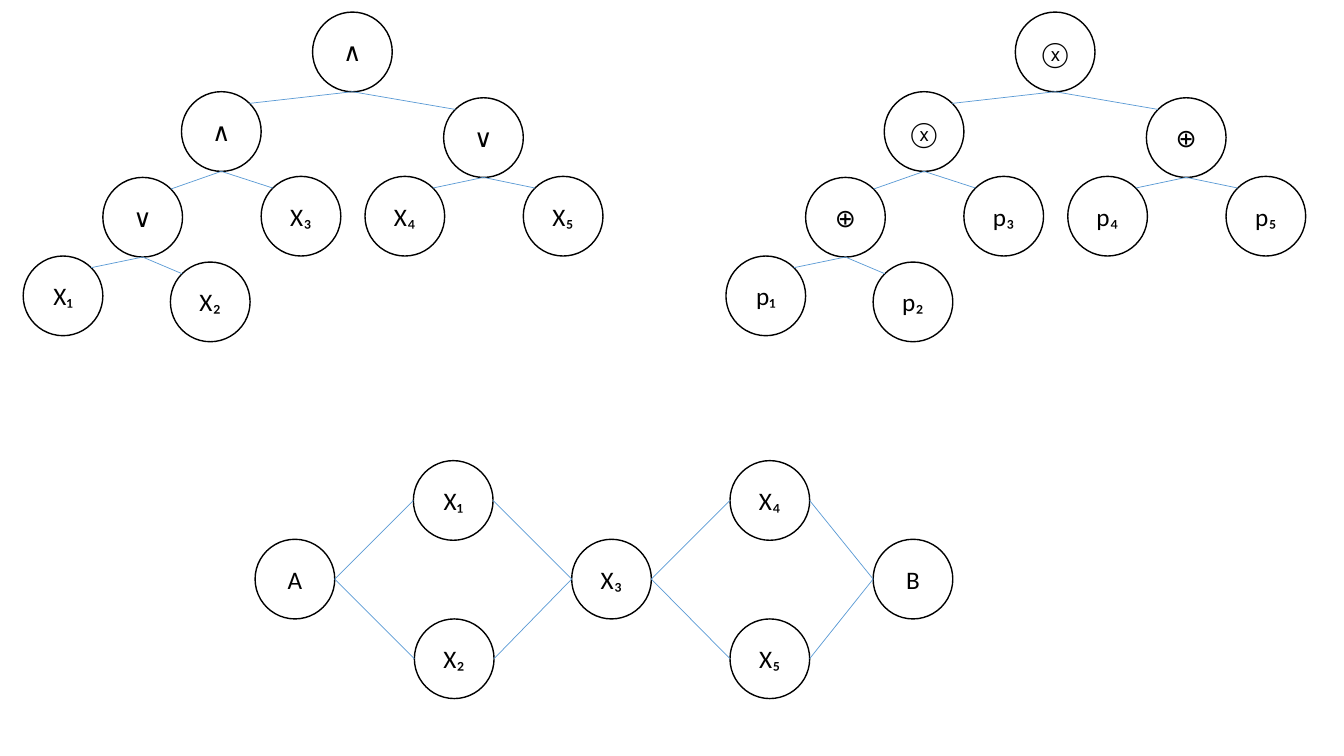
from dataclasses import dataclass
from math import sqrt

from lxml.etree import SubElement
from pptx import Presentation
from pptx.dml.color import RGBColor
from pptx.enum.shapes import MSO_CONNECTOR, MSO_SHAPE
from pptx.enum.text import MSO_ANCHOR, PP_ALIGN
from pptx.oxml.ns import qn
from pptx.slide import Slide
from pptx.util import Inches, Pt

COLORS = {"node": "FFFFFF", "ink": "000000", "link": "5B9BD5"}
DIAMETER = 0.79
RADIUS = DIAMETER / 2
DIAGONAL = RADIUS / sqrt(2)
SECOND_TREE_SHIFT = 6.97


@dataclass(frozen=True)
class Node:
    label: str
    left: float
    top: float

    def point(self, dx: float, dy: float) -> tuple[float, float]:
        """Point at the given offset from the centre."""
        return self.left + RADIUS + dx, self.top + RADIUS + dy


# Left and top of each tree node, level by level
TREE_PLACES = [
    (3.1, 0.12),
    (1.8, 0.91), (4.4, 0.97),
    (1.02, 1.76), (2.59, 1.75), (3.62, 1.75), (5.19, 1.75),
    (0.23, 2.54), (1.69, 2.6),
]
# Parent index: (left child, right child)
TREE_CHILDREN = {0: (1, 2), 1: (3, 4), 2: (5, 6), 3: (7, 8)}

EVENT_LABELS = ["∧", "∧", "∨", "∨", "X₃", "X₄", "X₅", "X₁", "X₂"]
PROBABILITY_LABELS = ["ⓧ", "ⓧ", "⊕", "⊕", "p₃", "p₄", "p₅", "p₁", "p₂"]

NETWORK = [
    Node("A", 2.53, 5.35),
    Node("X₁", 4.1, 4.57),
    Node("X₂", 4.11, 6.14),
    Node("X₃", 5.67, 5.35),
    Node("X₄", 7.24, 4.57),
    Node("X₅", 7.24, 6.14),
    Node("B", 8.66, 5.35),
]
NETWORK_LINKS = [(0, 1), (0, 2), (1, 3), (2, 3), (3, 4), (3, 5), (4, 6), (5, 6)]


def color(name: str) -> RGBColor:
    return RGBColor.from_string(COLORS[name])


def draw_node(slide: Slide, node: Node) -> None:
    circle = slide.shapes.add_shape(
        MSO_SHAPE.OVAL, Inches(node.left), Inches(node.top), Inches(DIAMETER), Inches(DIAMETER)
    )
    circle.shadow.inherit = False
    circle.fill.solid()
    circle.fill.fore_color.rgb = color("node")
    circle.line.color.rgb = color("ink")
    circle.line.width = Pt(1)
    circle.text_frame.vertical_anchor = MSO_ANCHOR.MIDDLE
    label = circle.text_frame.paragraphs[0]
    label.text = node.label
    label.alignment = PP_ALIGN.CENTER
    label.font.name = "Calibri"
    label.font.size = Pt(18)
    label.font.color.rgb = color("ink")


def draw_link(slide: Slide, start: tuple[float, float], end: tuple[float, float]) -> None:
    link = slide.shapes.add_connector(
        MSO_CONNECTOR.STRAIGHT, *(Inches(value) for value in start + end)
    )
    link.line.color.rgb = color("link")
    link.line.width = Pt(0.5)
    SubElement(link._element.spPr, qn("a:effectLst"))


def draw_tree(slide: Slide, labels: list[str], shift: float) -> None:
    nodes = [Node(label, left + shift, top) for label, (left, top) in zip(labels, TREE_PLACES)]
    for node in nodes:
        draw_node(slide, node)
    for parent, (left_child, right_child) in TREE_CHILDREN.items():
        bottom = nodes[parent].point(0, RADIUS)
        draw_link(slide, bottom, nodes[left_child].point(DIAGONAL, -DIAGONAL))
        draw_link(slide, bottom, nodes[right_child].point(-DIAGONAL, -DIAGONAL))


def draw_network(slide: Slide) -> None:
    for node in NETWORK:
        draw_node(slide, node)
    for source, target in NETWORK_LINKS:
        draw_link(slide, NETWORK[source].point(RADIUS, 0), NETWORK[target].point(-RADIUS, 0))


def main() -> None:
    presentation = Presentation()
    presentation.slide_width = Inches(13.33)
    presentation.slide_height = Inches(7.5)
    slide = presentation.slides.add_slide(presentation.slide_layouts[6])
    draw_tree(slide, EVENT_LABELS, 0)
    draw_tree(slide, PROBABILITY_LABELS, SECOND_TREE_SHIFT)
    draw_network(slide)
    presentation.save("out.pptx")


if __name__ == "__main__":
    main()
